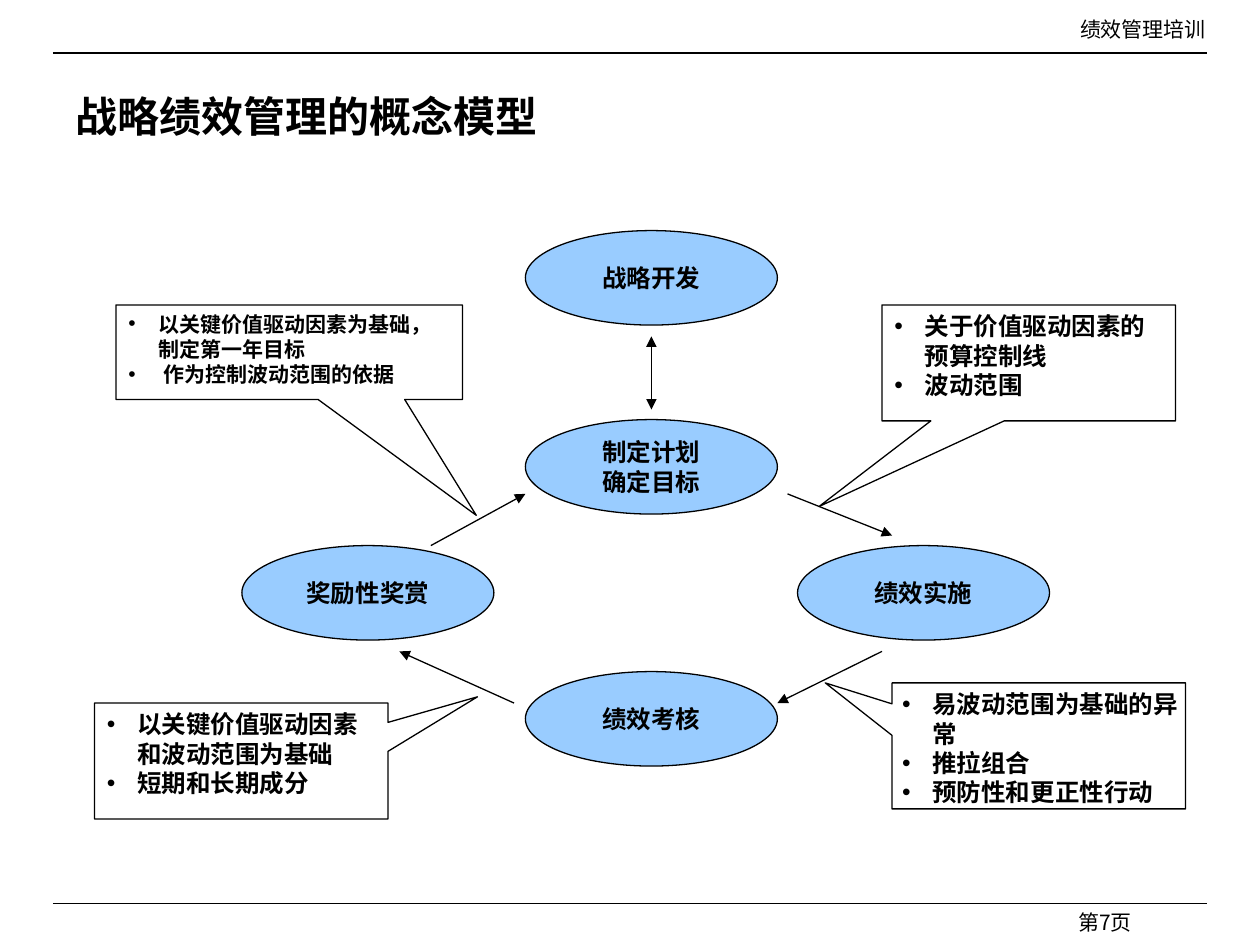
from dataclasses import dataclass

from pptx import Presentation
from pptx.dml.color import RGBColor as RGB
from pptx.enum.shapes import MSO_CONNECTOR as Conn, MSO_SHAPE as Kind
from pptx.enum.text import MSO_ANCHOR as Anchor, PP_ALIGN as Align
from pptx.oxml.ns import qn
from pptx.util import Inches, Pt
from lxml.etree import SubElement as Sub


@dataclass(frozen=True)
class Theme:
    ink: RGB = RGB(0, 0, 0)
    node: RGB = RGB(0x99, 0xCC, 0xFF)
    font: str = "Times New Roman"
    cjk: str = "Noto Sans CJK SC"
    title: int = 24
    body: int = 14
    small: int = 12
    line: float = 0.75


LOOK = Theme()
NODE_W, NODE_H = 2, 0.75
INDENT = 0.24


def add_dot(para):
    props = para._p.get_or_add_pPr()
    props.set("marL", str(Inches(INDENT)))
    props.set("indent", str(-Inches(INDENT)))
    Sub(props, qn("a:buFont"), typeface="Arial")
    Sub(props, qn("a:buChar"), char="•")


def write(shape, lines, size=LOOK.body, bold=False, font=LOOK.font,
          align=Align.LEFT, anchor=Anchor.TOP, wrap=True, dots=False,
          left=0.1, right=0.1):
    frame = shape.text_frame
    frame.word_wrap = wrap
    frame.vertical_anchor = anchor
    frame.margin_left, frame.margin_right = Inches(left), Inches(right)
    frame.margin_top = frame.margin_bottom = Inches(0.05)
    for i, line in enumerate(lines):
        para = frame.add_paragraph() if i else frame.paragraphs[0]
        para.alignment = align
        if dots:
            add_dot(para)
        run = para.add_run()
        run.text = line
        run.font.name, run.font.size = font, Pt(size)
        run.font.bold = bold
        run.font.color.rgb = LOOK.ink


def add_label(slide, box, text, **style):
    label = slide.shapes.add_textbox(*map(Inches, box))
    write(label, [text], **style)


def add_form(slide, kind, box, fill=None):
    form = slide.shapes.add_shape(kind, *map(Inches, box))
    form.shadow.inherit = False
    if fill is None:
        form.fill.background()
    else:
        form.fill.solid()
        form.fill.fore_color.rgb = fill
    form.line.color.rgb = LOOK.ink
    form.line.width = Pt(LOOK.line)
    return form


def add_node(slide, x, y, *lines):
    node = add_form(slide, Kind.OVAL, (x, y, NODE_W, NODE_H), LOOK.node)
    write(node, lines, bold=True, align=Align.CENTER,
          anchor=Anchor.MIDDLE, wrap=False)


def add_note(slide, box, tip, lines, **style):
    x, y, wide, high = box
    note = add_form(slide, Kind.RECTANGULAR_CALLOUT, box)
    # The tip is stored as an offset from the centre, in box sizes
    note.adjustments[0] = (tip[0] - x) / wide - 0.5
    note.adjustments[1] = (tip[1] - y) / high - 0.5
    write(note, lines, bold=True, dots=True, **style)


def add_line(slide, start, end, heads=()):
    line = slide.shapes.add_connector(
        Conn.STRAIGHT, *map(Inches, (*start, *end)))
    line.line.color.rgb = LOOK.ink
    line.line.width = Pt(LOOK.line)
    for head in heads:
        Sub(line.line._get_or_add_ln(), qn(f"a:{head}"), type="triangle")
    Sub(line._element.spPr, qn("a:effectLst"))


def main():
    deck = Presentation()
    deck.slide_width, deck.slide_height = Inches(10), Inches(7.5)
    slide = deck.slides.add_slide(deck.slide_layouts[6])

    # Page frame and title
    for y in (0.42, 7.17):
        add_line(slide, (0.42, y), (9.58, y))
    add_label(slide, (7, 7.17, 2.08, 0.17), "第7页", size=LOOK.small,
              font=LOOK.cjk, align=Align.RIGHT)
    add_label(slide, (5, 0.08, 4.67, 0.3), "绩效管理培训",
              size=LOOK.small, align=Align.RIGHT)
    add_label(slide, (0.5, 0.58, 8.92, 0.67), "战略绩效管理的概念模型",
              size=LOOK.title, bold=True, anchor=Anchor.MIDDLE)

    # Stages of the cycle
    mid = 4.17
    add_node(slide, mid, 1.83, "战略开发")
    add_node(slide, mid, 5.33, "绩效考核")
    add_node(slide, mid, 3.33, "制定计划", "确定目标")
    add_node(slide, 6.33, 4.33, "绩效实施")
    add_node(slide, 1.92, 4.33, "奖励性奖赏")

    # Arrows between the stages
    for start, end in (
        ((6.25, 3.92), (7.08, 4.25)),
        ((3.42, 4.33), (4.17, 3.92)),
        ((7, 5.17), (6.17, 5.58)),
        ((4.08, 5.58), (3.17, 5.17)),
    ):
        add_line(slide, start, end, ["tailEnd"])
    add_line(slide, (5.17, 2.67), (5.17, 3.25), ["headEnd", "tailEnd"])

    # Notes that point at the arrows
    add_note(slide, (0.92, 2.42, 2.75, 0.75), (3.78, 4.09),
             ["以关键价值驱动因素为基础，制定第一年目标",
              " 作为控制波动范围的依据"], size=LOOK.small)
    add_note(slide, (7, 2.42, 2.33, 0.92), (6.5, 4.02),
             ["关于价值驱动因素的预算控制线", "波动范围"])
    add_note(slide, (7.08, 5.42, 2.33, 1), (6.55, 5.42),
             ["易波动范围为基础的异常", "推拉组合", "预防性和更正性行动"],
             left=0.08, right=0)
    add_note(slide, (0.75, 5.58, 2.33, 0.92), (3.79, 5.53),
             ["以关键价值驱动因素和波动范围为基础", "短期和长期成分"])

    deck.save("out.pptx")


if __name__ == "__main__":
    main()
